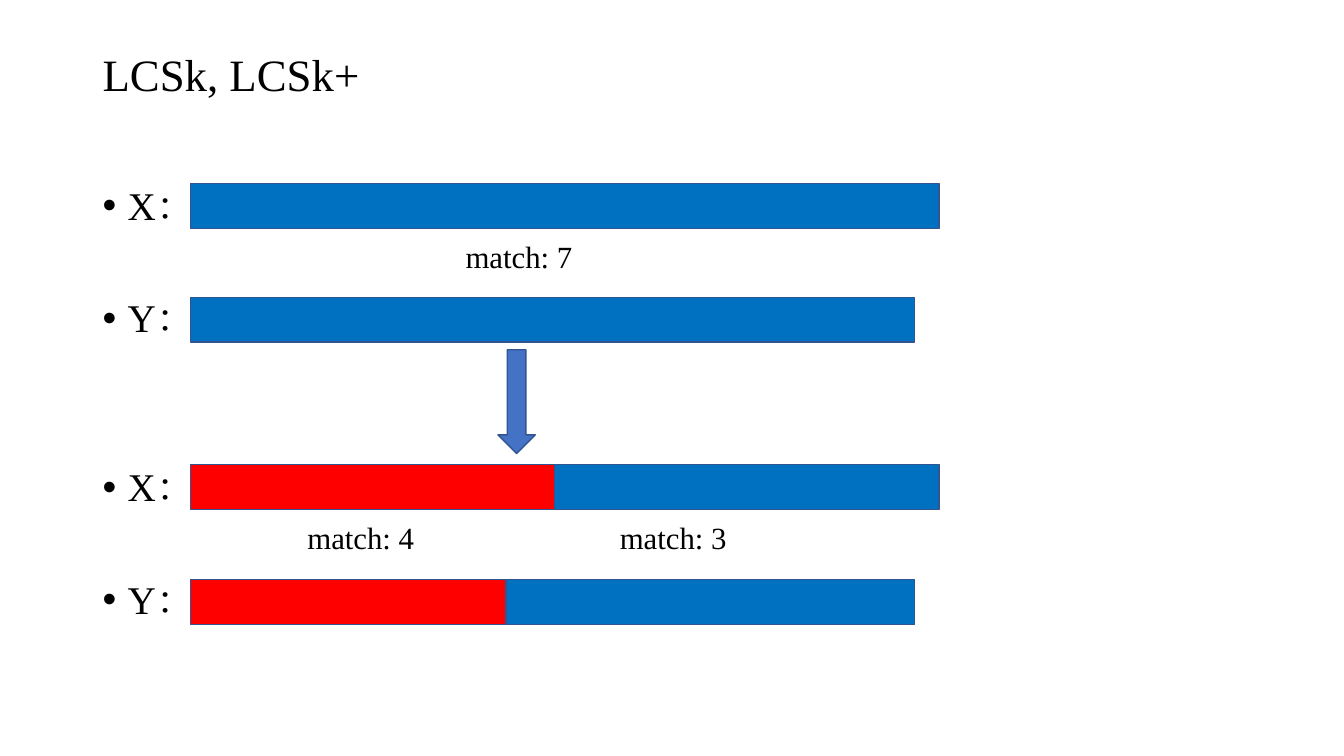
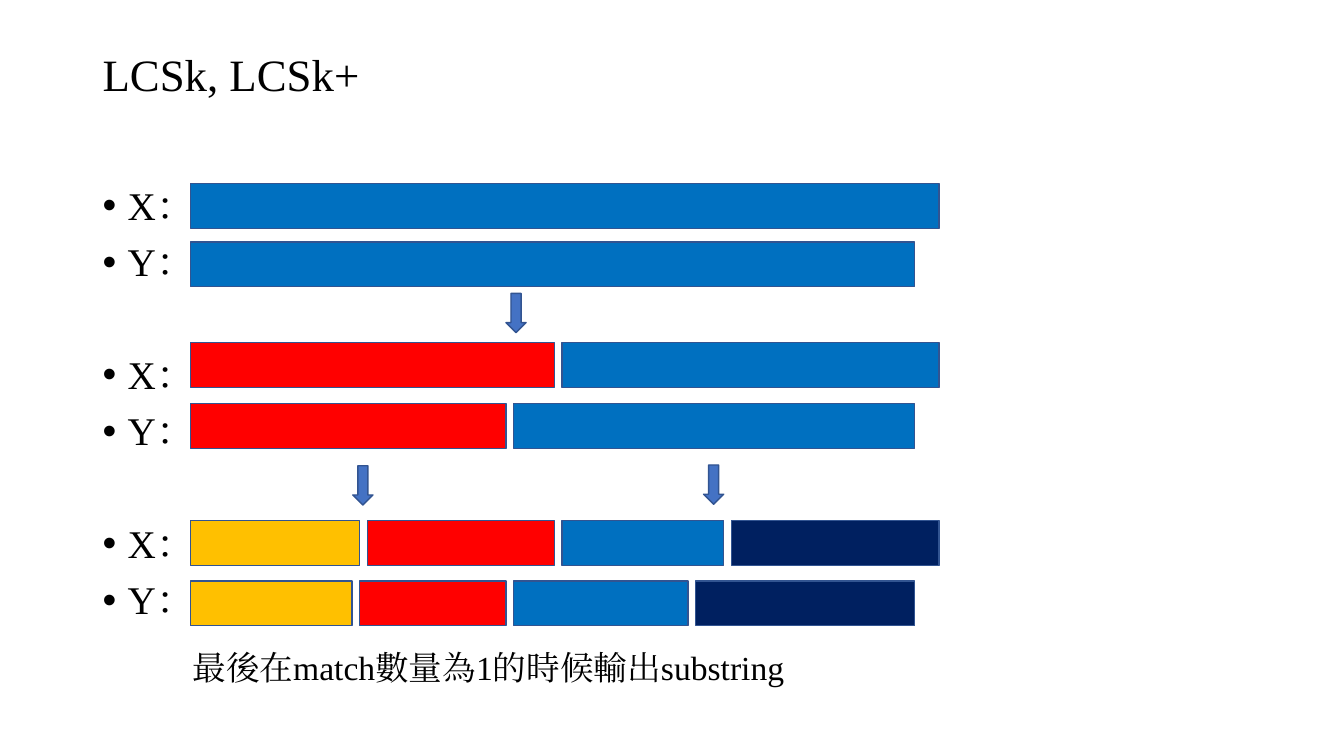
from dataclasses import dataclass

from lxml.etree import SubElement
from pptx import Presentation
from pptx.dml.color import RGBColor as Rgb
from pptx.enum.shapes import MSO_SHAPE as Shape
from pptx.enum.text import MSO_ANCHOR as Anchor, MSO_AUTO_SIZE as AutoSize, PP_ALIGN as Align
from pptx.oxml.ns import qn
from pptx.util import Inches, Pt


@dataclass(frozen=True)
class Theme:
    font: str = "Times New Roman"
    ink: str = "000000"
    blue: str = "0070C0"
    red: str = "FF0000"
    gold: str = "FFC000"
    navy: str = "002060"
    arrow: str = "4472C4"
    outline: str = "325491"
    title: int = 32
    item: int = 28
    caption: int = 24
    match: int = 22
    item_gap: int = 10
    item_pitch: float = 40.2


theme = Theme()
deck = Presentation()
deck.slide_width, deck.slide_height = Inches(13.333), Inches(7.5)
COL, ROW = deck.slide_width / 100, deck.slide_height / 100


def box(left, top, width, height):
    return int(left * COL), int(top * ROW), int(width * COL), int(height * ROW)


def write(frame, *lines, size, spacing=1.0, skipped=None, bullet=False, anchor=Anchor.TOP):
    frame.word_wrap = True
    frame.auto_size = AutoSize.NONE
    frame.vertical_anchor = anchor
    for index, line in enumerate(lines):
        paragraph = frame.paragraphs[0] if index == 0 else frame.add_paragraph()
        paragraph.alignment = Align.LEFT
        paragraph.line_spacing = spacing
        paragraph.space_before = Pt(0)
        if index:
            paragraph.space_before = Pt(theme.item_gap + theme.item_pitch * skipped[index])
        if bullet:
            properties = paragraph._p.get_or_add_pPr()
            properties.set("marL", str(Inches(0.25)))
            properties.set("indent", str(-Inches(0.25)))
            SubElement(properties, qn("a:buFont"), typeface="Arial")
            SubElement(properties, qn("a:buChar"), char="•")
        run = paragraph.add_run()
        run.text = line
        run.font.name = theme.font
        run.font.size = Pt(size)
        run.font.color.rgb = Rgb.from_string(theme.ink)
        SubElement(run._r.get_or_add_rPr(), qn("a:ea"), typeface=theme.font)


layout = deck.slide_layouts[1]
for part, place in zip(layout.placeholders, [box(6.88, 5.33, 86.25, 9.73), box(6.88, 24, 86.25, 66.13)]):
    part.left, part.top, part.width, part.height = place

BAR_LEFT, BAR_HEIGHT = 14.17, 5.93
X_END, Y_END = 69.88, 68.05
X_SPLIT, Y_SPLIT = 41.25, 37.65
x_whole, y_whole = [(X_END, theme.blue)], [(Y_END, theme.blue)]
x_halves = [(X_SPLIT, theme.red), (X_END, theme.blue)]
y_halves = [(Y_SPLIT, theme.red), (Y_END, theme.blue)]
x_quarters = [(26.77, theme.gold), (X_SPLIT, theme.red), (53.85, theme.blue), (X_END, theme.navy)]
y_quarters = [(26.18, theme.gold), (Y_SPLIT, theme.red), (51.2, theme.blue), (Y_END, theme.navy)]

steps = [
    dict(
        skipped=[0, 1, 2, 1],
        gap=0,
        bars=[(24.27, x_whole), (39.33, y_whole), (61.47, x_halves), (76.67, y_halves)],
        arrows=[(37.05, 46.27, 2.78, 13.73)],
        notes=[
            ("match: 7", theme.match, (33.9, 30.8, 16.28, 6.27)),
            ("match: 4", theme.match, (22.13, 68, 16.28, 6.27)),
            ("match: 3", theme.match, (45.38, 68, 16.28, 6.27)),
        ],
    ),
    dict(
        skipped=[0, 0, 1, 0, 1, 0],
        gap=0.57,
        bars=[
            (24.27, x_whole), (32, y_whole),
            (45.33, x_halves), (53.4, y_halves),
            (68.85, x_quarters), (76.85, y_quarters),
        ],
        arrows=[(37.65, 38.8, 1.5, 5.2), (26.25, 61.6, 1.5, 5.2), (52.35, 61.5, 1.5, 5.2)],
        notes=[("最後在match數量為1的時候輸出substring", theme.caption, (13.58, 84.93, 54.53, 6.67))],
    ),
]

for step in steps:
    slide = deck.slides.add_slide(layout)
    title, sequences = slide.placeholders
    write(title.text_frame, "LCSk, LCSk+", size=theme.title, spacing=0.9, anchor=Anchor.MIDDLE)
    names = ["X：", "Y："] * (len(step["bars"]) // 2)
    write(sequences.text_frame, *names, size=theme.item, spacing=0.9,
          skipped=step["skipped"], bullet=True)

    figures = []
    for top, pieces in step["bars"]:
        starts = [BAR_LEFT] + [end + step["gap"] for end, _ in pieces[:-1]]
        for start, (end, color) in reversed(list(zip(starts, pieces))):
            figures.append((Shape.RECTANGLE, (start, top, end - start, BAR_HEIGHT), color))
    figures += [(Shape.DOWN_ARROW, place, theme.arrow) for place in step["arrows"]]

    for outline, place, color in figures:
        figure = slide.shapes.add_shape(outline, *box(*place))
        figure.shadow.inherit = False
        figure.fill.solid()
        figure.fill.fore_color.rgb = Rgb.from_string(color)
        figure.line.color.rgb = Rgb.from_string(theme.outline)
        figure.line.width = Pt(1)

    for words, size, place in step["notes"]:
        note = slide.shapes.add_textbox(*box(*place))
        write(note.text_frame, words, size=size)

deck.save("out.pptx")
